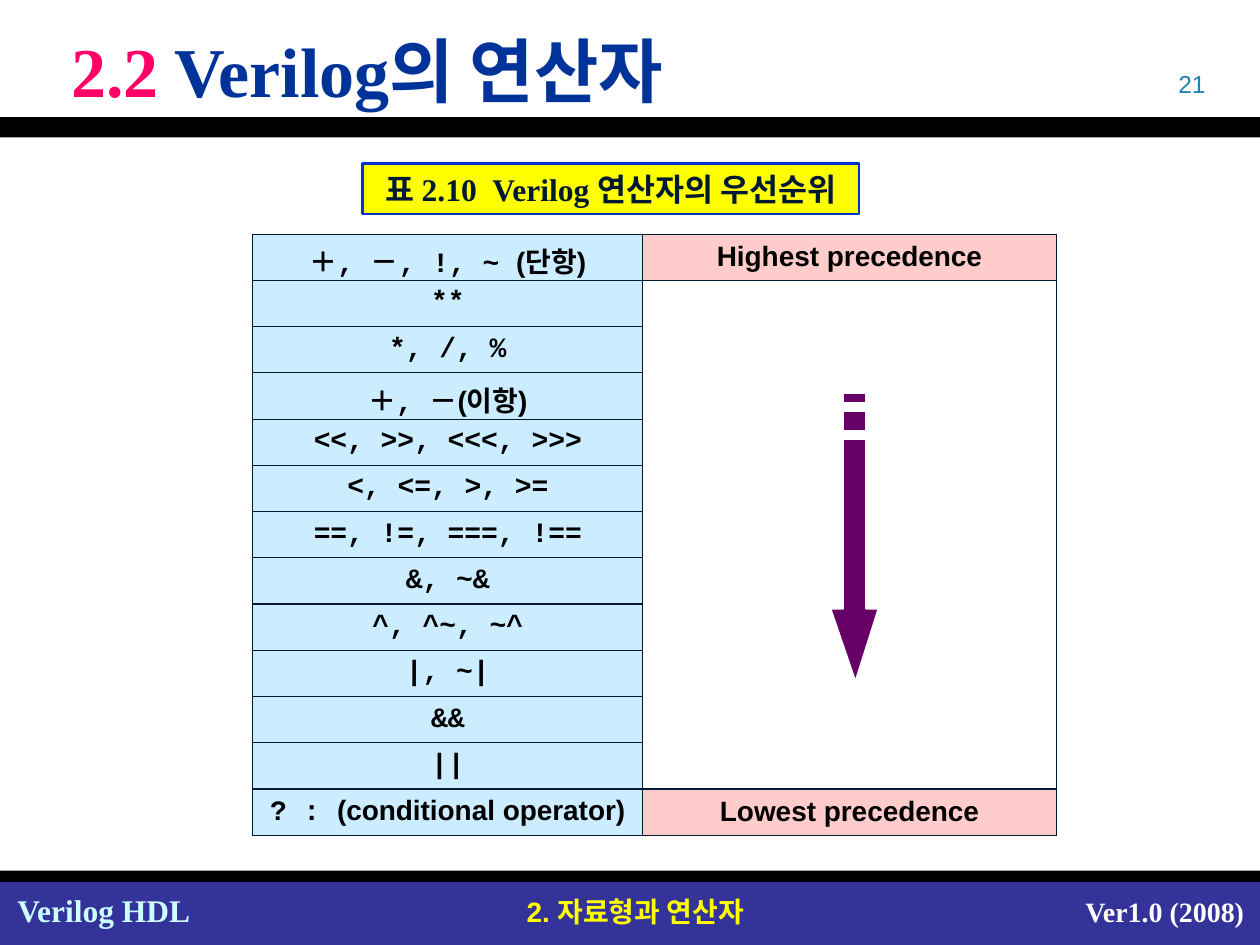
from lxml import etree
from pptx import Presentation
from pptx import util as u
from pptx.dml import color
from pptx.enum import shapes, text
from pptx.oxml import ns

ARIAL, COURIER, TIMES = "Arial", "Courier New", "Times New Roman"
LEFT, CENTER, RIGHT = text.PP_ALIGN.LEFT, text.PP_ALIGN.CENTER, text.PP_ALIGN.RIGHT
INK = "001932"

TITLE = [("2.2", "FF0066"), (" Verilog의 연산자", "003399")]
BANDS = [(504, 36, "333399"), (67, 11.5, "000000"), (497.5, 6.5, "000000")]
LABELS = [
    ("2. 자료형과 연산자", (281, 507.6, 164, 26.6), 16, ARIAL, "FFFF00", True, CENTER),
    ("Ver1.0 (2008)", (604, 507.6, 114, 26.6), 16, TIMES, "FFFFFF", True, RIGHT),
    ("Verilog HDL", (2.8, 505.4, 114, 28.8), 18, TIMES, "CCFFFF", True, LEFT),
    ("21", (528, 36, 168, 24), 14, ARIAL, "2181B7", False, RIGHT),
]
CAPTION = "표 2.10  Verilog 연산자의 우선순위"
OPERATORS = [
    ("＋, －, !, ~ ", "(단항)"), ("**", ""), ("*, /, %", ""), ("＋, －", "(이항)"),
    ("<<, >>, <<<, >>>", ""), ("<, <=, >, >=", ""), ("==, !=, ===, !==", ""),
    ("&, ~&", ""), ("^, ^~, ~^", ""), ("|, ~|", ""), ("&&", ""), ("||", ""),
    ("? : ", "(conditional operator)"),
]
PRECEDENCE = {0: "Highest precedence", len(OPERATORS) - 1: "Lowest precedence"}
COLUMN_WIDTHS = (222.8, 236.4)
ROW_HEIGHT = 26.4
ARROW = [
    [(123, 0), (123, 6.6), (26, 6.6), (26, 20), (123, 20), (123, 26.6), (164, 13.3)],
    [(10, 6.6), (21, 6.6), (21, 20), (10, 20)],
    [(0, 6.6), (5, 6.6), (5, 20), (0, 20)],
]


def rgb(value):
    """Turn a hex string into a colour."""
    return color.RGBColor.from_string(value)


def box(values):
    """Turn point values into lengths."""
    return [u.Pt(value) for value in values]


def paint(shape, fill, line=None, width=0.75):
    """Give a shape a flat fill and an optional outline."""
    shape.shadow.inherit = False
    shape.fill.solid()
    shape.fill.fore_color.rgb = rgb(fill)
    if line:
        shape.line.color.rgb = rgb(line)
        shape.line.width = u.Pt(width)
    else:
        shape.line.fill.background()


def write(paragraph, content, size=16, font=ARIAL, ink="000000", bold=True, align=CENTER):
    """Add one formatted run to a paragraph."""
    paragraph.alignment = align
    run = paragraph.add_run()
    run.text = content
    run.font.size, run.font.name, run.font.bold = u.Pt(size), font, bold
    run.font.color.rgb = rgb(ink)


def add_borders(cell):
    """Draw thin lines on all four sides of a cell."""
    properties = cell._tc.get_or_add_tcPr()
    for index, side in enumerate(("lnL", "lnR", "lnT", "lnB")):
        line = etree.Element(ns.qn(f"a:{side}"), w=str(u.Pt(0.75)))
        fill = etree.SubElement(line, ns.qn("a:solidFill"))
        etree.SubElement(fill, ns.qn("a:srgbClr"), val=INK)
        properties.insert(index, line)


def format_cell(cell, runs, fill):
    """Fill a cell with runs of text on a colour."""
    cell.vertical_anchor = text.MSO_ANCHOR.MIDDLE
    cell.fill.solid()
    cell.fill.fore_color.rgb = rgb(fill)
    for content, font in runs:
        if content:
            write(cell.text_frame.paragraphs[0], content, font=font)


def add_title(slide):
    """Place and format the slide title."""
    title = slide.shapes.title
    title.left, title.top, title.width, title.height = box((12, 9.5, 696, 60))
    title.text_frame.vertical_anchor = text.MSO_ANCHOR.MIDDLE
    title.text_frame.auto_size = text.MSO_AUTO_SIZE.NONE
    paragraph = title.text_frame.paragraphs[0]
    paragraph._p.get_or_add_pPr().set("marL", str(u.Pt(21.5)))
    for content, ink in TITLE:
        write(paragraph, content, 40, TIMES, ink, align=LEFT)


def add_table(slide):
    """Build the precedence table."""
    count = len(OPERATORS)
    place = box((144.5, 133.8, sum(COLUMN_WIDTHS), ROW_HEIGHT * count))
    table = slide.shapes.add_table(count, 2, *place).table
    table.first_row = table.horz_banding = False
    for column, width in zip(table.columns, COLUMN_WIDTHS):
        column.width = u.Pt(width)
    for index, (symbols, note) in enumerate(OPERATORS):
        table.rows[index].height = u.Pt(ROW_HEIGHT)
        left, right = table.cell(index, 0), table.cell(index, 1)
        format_cell(left, [(symbols, COURIER), (note, ARIAL)], "CCECFF")
        if index in PRECEDENCE:
            format_cell(right, [(PRECEDENCE[index], ARIAL)], "FFCCCC")
        else:
            right.fill.background()
            right.margin_top = right.margin_bottom = 0
        add_borders(left)
        add_borders(right)
    table.cell(1, 1).merge(table.cell(count - 2, 1))


def add_arrow(slide):
    """Draw the striped arrow pointing down."""
    builder = slide.shapes.build_freeform(*ARROW[0][0], scale=u.Pt(1))
    for index, points in enumerate(ARROW):
        if index:
            builder.move_to(*points[0])
        builder.add_line_segments(points[1:], close=True)
    arrow = builder.convert_to_shape(u.Pt(406.3), u.Pt(293.5))
    arrow.rotation = 90
    paint(arrow, "660066", "FFFFFF")


def main():
    """Build and save the slide."""
    presentation = Presentation()
    presentation.slide_width, presentation.slide_height = u.Pt(720), u.Pt(540)
    slide = presentation.slides.add_slide(presentation.slide_layouts[5])
    rectangle = shapes.MSO_SHAPE.RECTANGLE
    for top, height, fill in BANDS:
        paint(slide.shapes.add_shape(rectangle, *box((0, top, 720, height))), fill)
    for content, place, size, font, ink, bold, align in LABELS:
        frame = slide.shapes.add_textbox(*box(place)).text_frame
        frame.word_wrap = True
        write(frame.paragraphs[0], content, size, font, ink, bold, align)
    add_title(slide)
    add_table(slide)
    add_arrow(slide)
    caption = slide.shapes.add_shape(rectangle, *box((207.2, 93.5, 283.8, 28.8)))
    paint(caption, "FFFF00", "0033CC", 1.5)
    caption.text_frame.word_wrap = False
    write(caption.text_frame.paragraphs[0], CAPTION, 18, TIMES, INK)
    presentation.save("out.pptx")


if __name__ == "__main__":
    main()
